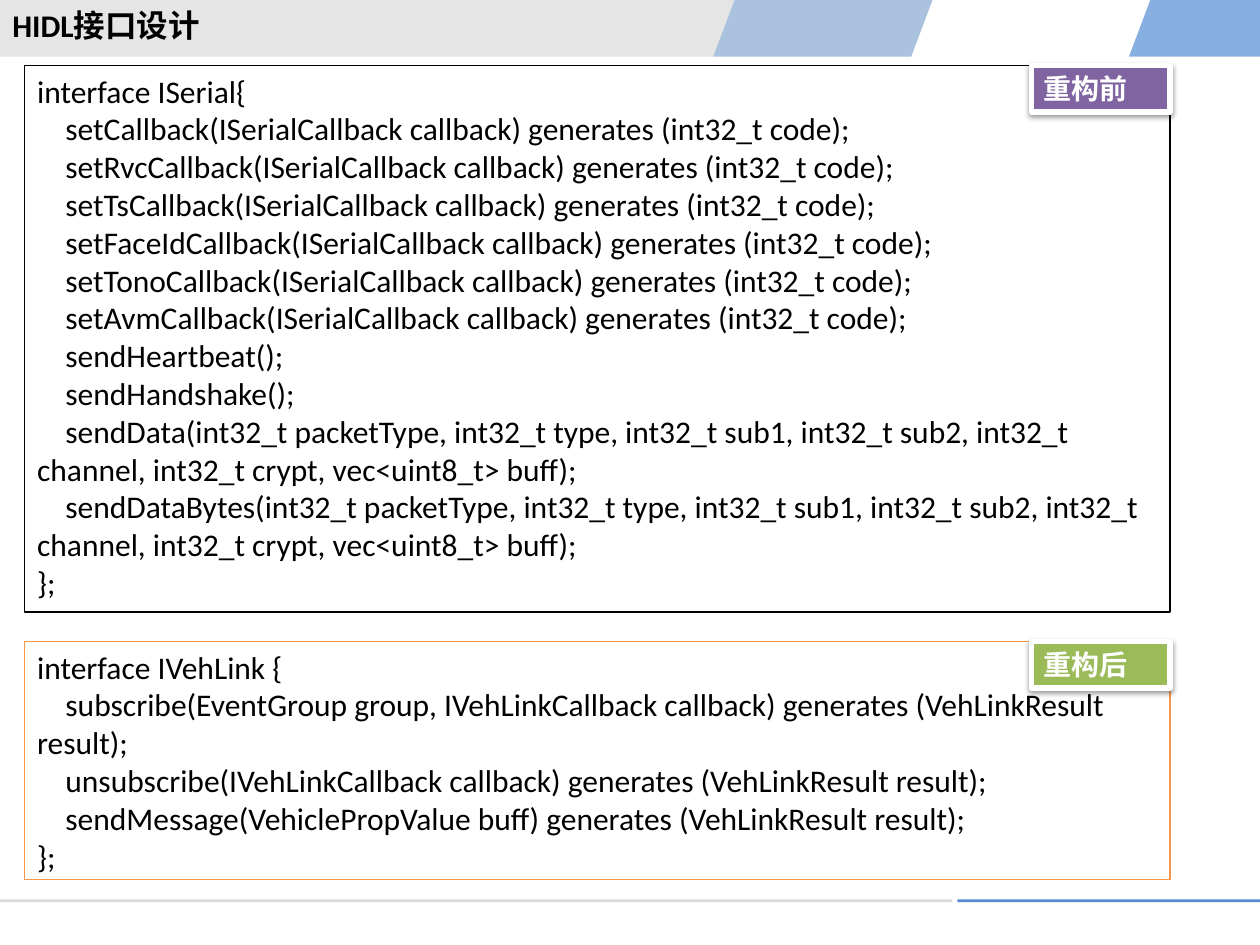
from dataclasses import dataclass

from lxml.etree import SubElement
from pptx import Presentation
from pptx.dml.color import RGBColor
from pptx.enum.shapes import MSO_SHAPE as Preset
from pptx.enum.text import MSO_ANCHOR as Anchor, PP_ALIGN as Align
from pptx.oxml.ns import qn
from pptx.util import Cm, Pt


@dataclass(frozen=True)
class Theme:
    font: str = "Calibri"
    body_size: int = 18
    label_size: int = 16
    ink: str = "000000"
    paper: str = "FFFFFF"
    blue: str = "558ED5"
    band: str = "BFBFBF"
    rule: str = "D9D9D9"
    before: str = "8064A2"
    after: str = "9BBB59"
    after_border: str = "F79646"


THEME = Theme()
SLIDE_W, SLIDE_H = 25.4, 19.05
CODE_INDENT = 0.57

OLD_METHODS = [
    *(f"set{topic}Callback(ISerialCallback callback) generates (int32_t code);"
      for topic in ("", "Rvc", "Ts", "FaceId", "Tono", "Avm")),
    "sendHeartbeat();",
    "sendHandshake();",
    *(f"{method}(int32_t packetType, int32_t type, int32_t sub1, int32_t sub2, "
      "int32_t channel, int32_t crypt, vec<uint8_t> buff);"
      for method in ("sendData", "sendDataBytes")),
]
NEW_METHODS = [
    "subscribe(EventGroup group, IVehLinkCallback callback) generates (VehLinkResult result);",
    "unsubscribe(IVehLinkCallback callback) generates (VehLinkResult result);",
    "sendMessage(VehiclePropValue buff) generates (VehLinkResult result);",
]


def rgb(color):
    return RGBColor.from_string(color)


def write(shape, lines, *, size=THEME.body_size, color=THEME.ink, bold=False, indent=0):
    frame = shape.text_frame
    frame.word_wrap = True
    frame.vertical_anchor = Anchor.TOP
    for index, line in enumerate(lines):
        paragraph = frame.paragraphs[0] if index == 0 else frame.add_paragraph()
        paragraph.alignment = Align.LEFT
        if indent and 0 < index < len(lines) - 1:
            properties = paragraph._p.get_or_add_pPr()
            properties.set("marL", "0")
            properties.set("indent", str(Cm(indent)))
        run = paragraph.add_run()
        run.text = line
        run.font.name = THEME.font
        run.font.size = Pt(size)
        run.font.bold = bold
        run.font.color.rgb = rgb(color)


def paint(shape, fill=None, border=None, width=0.75, opacity=100):
    shape.shadow.inherit = False
    if fill:
        shape.fill.solid()
        shape.fill.fore_color.rgb = rgb(fill)
        if opacity < 100:
            tint = shape._element.spPr.find(qn("a:solidFill"))[0]
            SubElement(tint, qn("a:alpha"), val=str(opacity * 1000))
    else:
        shape.fill.background()
    if border:
        shape.line.color.rgb = rgb(border)
        shape.line.width = Pt(width)
    else:
        shape.line.fill.background()


def add_rectangle(slide, box, **style):
    rectangle = slide.shapes.add_shape(Preset.RECTANGLE, *map(Cm, box))
    paint(rectangle, **style)
    return rectangle


def cast_shadow(shape):
    effects = shape._element.spPr.find(qn("a:effectLst"))
    shadow = SubElement(effects, qn("a:outerShdw"), blurRad=str(Pt(3.1)),
                        dist=str(Pt(1.6)), dir="5400000", rotWithShape="0")
    shade = SubElement(shadow, qn("a:srgbClr"), val=THEME.ink)
    SubElement(shade, qn("a:alpha"), val="38000")


def add_header(slide, box, title):
    left, top, width, height = box
    right, slant = left + width, 0.43
    panels = [
        (left + 23.19, right, right, left + 22.76, THEME.blue, 70),
        (left, left + 18.8, left + 18.8 - slant, left, THEME.band, 40),
        (left + 14.81, left + 18.8, left + 18.8 - slant, left + 14.38, THEME.blue, 40),
    ]
    for top_left, top_right, low_right, low_left, color, opacity in panels:
        outline = slide.shapes.build_freeform(Cm(top_left), Cm(top))
        corners = [(top_right, top), (low_right, top + height), (low_left, top + height)]
        outline.add_line_segments([(Cm(x), Cm(y)) for x, y in corners], close=True)
        paint(outline.convert_to_shape(), fill=color, opacity=opacity)
    heading = slide.shapes.add_textbox(Cm(left), Cm(top), Cm(9.7), Cm(1.02))
    write(heading, [title], bold=True)


def add_footer(slide, box):
    left, top, width, height = box
    gray_width, gap = 19.2, 0.1
    blue_left = left + gray_width + gap
    add_rectangle(slide, (left, top, gray_width, height), fill=THEME.rule)
    add_rectangle(slide, (blue_left, top, left + width - blue_left, height), fill=THEME.blue)


def add_interface(slide, box, opening, methods, border):
    code = add_rectangle(slide, box, border=border)
    write(code, [opening, *methods, "};"], indent=CODE_INDENT)


def add_stage_label(slide, box, stage, color):
    left, top, width, _ = box
    label_width, label_height = 2.8, 0.94
    label = add_rectangle(slide, (left + width - label_width, top, label_width, label_height),
                          fill=color, border=THEME.paper, width=3)
    cast_shadow(label)
    write(label, [stage], size=THEME.label_size, color=THEME.paper, bold=True)


def main():
    deck = Presentation()
    deck.slide_width, deck.slide_height = Cm(SLIDE_W), Cm(SLIDE_H)
    slide = deck.slides.add_slide(deck.slide_layouts[6])
    before_box = (0.5, 1.32, 23.09, 11.02)
    after_box = (0.5, 12.93, 23.09, 4.8)

    add_header(slide, (0, 0, SLIDE_W, 1.14), "HIDL接口设计")
    add_footer(slide, (0, 18.13, SLIDE_W, 0.06))
    add_interface(slide, before_box, "interface ISerial{", OLD_METHODS, THEME.ink)
    add_interface(slide, after_box, "interface IVehLink {", NEW_METHODS, THEME.after_border)
    add_stage_label(slide, before_box, "重构前", THEME.before)
    add_stage_label(slide, after_box, "重构后", THEME.after)
    deck.save("out.pptx")


if __name__ == "__main__":
    main()
